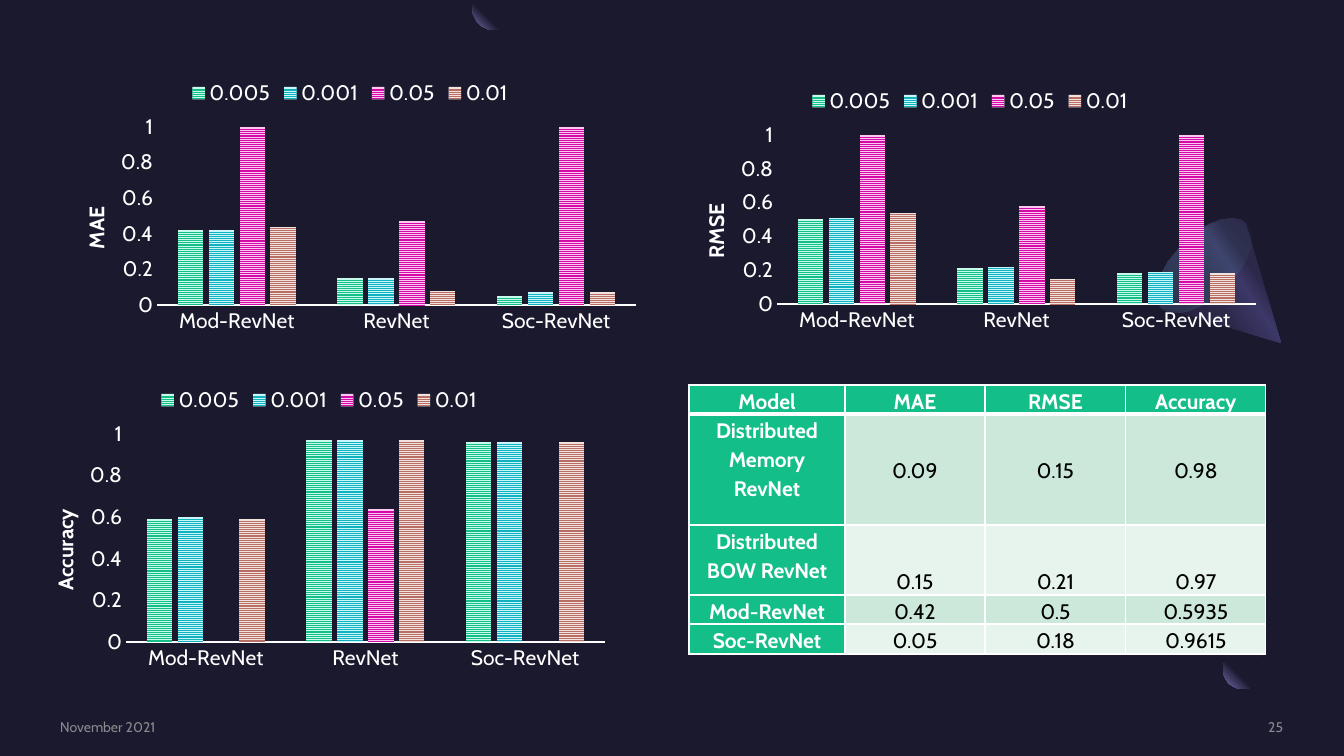
"""Build the slide comparing RevNet models by MAE, RMSE and accuracy."""
import math

from pptx import Presentation, util as u
from pptx.chart.data import CategoryChartData
from pptx.dml.color import RGBColor
from pptx.enum import chart as ch, dml, shapes, text
from pptx.oxml import parse_xml
from pptx.oxml.ns import nsdecls, qn

PX = 914400 / 100.8
FONT = "Cabin"
COLOURS = {
    "night": "1B192E", "lilac": "7771B2", "cone": "2C284A", "cone_light": "3C3867",
    "base": "454075", "mint": "5BEFC1", "grey": "A6A6A6", "white": "FFFFFF",
    "black": "000000", "green": "13BE89", "band": "CCE8DA", "band_light": "E7F4ED",
}
RATES = [("0.005", "13BE89", "C8FAEA"), ("0.001", "12B1BF", "C8F6FA"),
         ("0.05", "D40AA8", "FCC8F1"), ("0.01", "B86E62", "F1E2E0")]
MODELS = ["Mod-RevNet", "RevNet", "Soc-RevNet"]
METRICS = [
    {"title": "MAE", "box": (52, 69, 596, 271), "title_length": 42,
     "values": [(0.42, 0.15, 0.05), (0.42, 0.15, 0.07), (191, 0.47, 81619), (0.44, 0.08, 0.07)]},
    {"title": "RMSE", "box": (672, 77, 596, 262), "title_length": 55,
     "values": [(0.5, 0.21, 0.18), (0.51, 0.22, 0.19), (10825, 0.58, 128329), (0.54, 0.15, 0.18)]},
    {"title": "Accuracy", "box": (21, 376, 596, 301), "title_length": 82,
     "values": [(0.59, 0.97, 0.96), (0.6, 0.97, 0.96), (0, 0.64, 0), (0.59, 0.97, 0.96)]},
]
RESULTS = [
    ("Model", "MAE", "RMSE", "Accuracy"),
    ("Distributed Memory RevNet", "0.09", "0.15", "0.98"),
    ("Distributed BOW RevNet", "0.15", "0.21", "0.97"),
    ("Mod-RevNet", "0.42", "0.5", "0.5935"),
    ("Soc-RevNet", "0.05", "0.18", "0.9615"),
]
RESULTS_BOX = (689, 385, 577, 269)
COLUMN_WIDTHS = (156, 140, 141, 140)
ROW_HEIGHTS = (29, 111, 70, 29, 30)
FOOTERS = [("November 2021", (60, 718, 290, 17), "LEFT"), ("25", (1097, 718, 186, 17), "RIGHT")]
MOON_STOPS = [(60, "night", 100), (100, "lilac", 100)]
CONE_STOPS = [(30, "cone", 100), (40, "cone_light", 100), (60, "cone", 100), (100, "night", 100)]
BASE_STOPS = [(0, "base", 33), (100, "mint", 0)]


def emu(*lengths):
    return [u.Emu(round(length * PX)) for length in lengths]


def rgb(name):
    return RGBColor.from_string(COLOURS.get(name, name))


def write(frame, words, size=15, colour="white", bold=False, align="CENTER", spacing=None):
    paragraph = frame.paragraphs[0]
    paragraph.alignment = text.PP_ALIGN[align]
    paragraph.line_spacing = spacing
    run = paragraph.add_run()
    run.text = words
    style(run.font, size, colour, bold)


def style(font, size=15, colour="white", bold=False):
    font.name, font.size, font.bold = FONT, u.Pt(size), bold
    font.color.rgb = rgb(colour)


def fade(element, percent):
    for colour in element.iter(qn("a:srgbClr")):
        colour.append(parse_xml(f'<a:alpha {nsdecls("a")} val="{percent * 1000}"/>'))


def shade(shape, stops, angle=None):
    """Fill with a linear gradient, or a circular one from the top right without an angle."""
    shape.shadow.inherit = False
    shape.line.fill.background()
    shape.fill.background()
    marks = "".join(
        f'<a:gs pos="{at * 1000}"><a:srgbClr val="{COLOURS[name]}">'
        f'<a:alpha val="{alpha * 1000}"/></a:srgbClr></a:gs>' for at, name, alpha in stops)
    course = ('<a:path path="circle"><a:fillToRect l="100000" b="100000"/></a:path>'
              if angle is None else f'<a:lin ang="{angle * 60000}" scaled="0"/>')
    properties = shape.element.spPr
    properties.replace(properties.find(qn("a:noFill")), parse_xml(
        f'<a:gradFill {nsdecls("a")} rotWithShape="1"><a:gsLst>{marks}</a:gsLst>{course}</a:gradFill>'))


def arc(centre, radii, tilt, start, end, steps=40):
    turn = math.radians(tilt)
    points = []
    for step in range(steps + 1):
        angle = math.radians(start + (end - start) * step / steps)
        x, y = radii[0] * math.cos(angle), radii[1] * math.sin(angle)
        points.append((centre[0] + x * math.cos(turn) - y * math.sin(turn),
                       centre[1] + x * math.sin(turn) + y * math.cos(turn)))
    return points


def outline(slide, points):
    builder = slide.shapes.build_freeform(*points[0], scale=PX)
    builder.add_line_segments(points[1:], close=True)
    return builder.convert_to_shape()


def add_decor(slide):
    add = slide.shapes.add_shape
    shade(add(shapes.MSO_SHAPE.OVAL, *emu(1223, 650, 39, 39)), MOON_STOPS)
    veil = add(shapes.MSO_SHAPE.RECTANGLE, *emu(1262, 642, 41, 39))
    veil.shadow.inherit = False
    veil.line.fill.background()
    veil.fill.solid()
    veil.fill.fore_color.rgb = rgb("night")
    fade(veil.element.spPr, 80)
    shade(outline(slide, arc((1204, 265), (59, 30), -45, 0, -180) + [(1281, 343)]), CONE_STOPS, 145)
    base = add(shapes.MSO_SHAPE.OVAL, *emu(1174, 206, 60, 119))
    base.rotation = 225
    shade(base, BASE_STOPS, 90)
    shade(outline(slide, arc((493, 10), (20, 20), 0, -30, 210)), MOON_STOPS)


def add_footer(slide, words, box, align):
    footer = slide.shapes.add_textbox(*emu(*box))
    frame = footer.text_frame
    frame.margin_left = frame.margin_right = frame.margin_top = frame.margin_bottom = 0
    frame.word_wrap = True
    frame.vertical_anchor = text.MSO_ANCHOR.MIDDLE
    write(frame, words, size=10, colour="grey", align=align)
    fade(footer.element, 80)


def place(parent, index, target, **fractions):
    """Fix the position of a chart part within its chart."""
    for old in parent.findall(qn("c:layout")):
        parent.remove(old)
    inner = f'<c:layoutTarget val="{target}"/>' if target else ""
    modes = '<c:xMode val="edge"/><c:yMode val="edge"/>'
    sizes = "".join(f'<c:{key} val="{value:.4f}"/>' for key, value in fractions.items())
    parent.insert(index, parse_xml(
        f'<c:layout {nsdecls("c")}><c:manualLayout>{inner}{modes}{sizes}</c:manualLayout></c:layout>'))


def add_metric(slide, title, box, title_length, values):
    data = CategoryChartData()
    data.categories = MODELS
    for (rate, _, _), row in zip(RATES, values):
        data.add_series(rate, row)
    chart = slide.shapes.add_chart(ch.XL_CHART_TYPE.COLUMN_CLUSTERED, *emu(*box), data).chart
    style(chart.font)
    chart.has_title = False
    chart.has_legend = True
    chart.legend.position = ch.XL_LEGEND_POSITION.TOP
    chart.legend.include_in_layout = False
    style(chart.legend.font)
    plot = chart.plots[0]
    plot.gap_width, plot.overlap, plot.vary_by_categories = 164, -22, False
    for series, (_, ink, paper) in zip(plot.series, RATES):
        fill = series.format.fill
        fill.patterned()
        fill.pattern = dml.MSO_PATTERN.NARROW_HORIZONTAL
        fill.fore_color.rgb, fill.back_color.rgb = rgb(ink), rgb(paper)
    scale = chart.value_axis
    for axis in (chart.category_axis, scale):
        axis.major_tick_mark = axis.minor_tick_mark = ch.XL_TICK_MARK.NONE
        axis.has_major_gridlines = False
        style(axis.tick_labels.font)
    models_line = chart.category_axis.format.line
    models_line.color.rgb, models_line.width = rgb("white"), u.Pt(1.5)
    scale.format.line.fill.background()
    scale.minimum_scale, scale.maximum_scale, scale.major_unit = 0, 1, 0.2
    write(scale.axis_title.text_frame, title, bold=True)
    heading = scale.axis_title.element if hasattr(scale.axis_title, "element") else scale.axis_title._element
    body = next(heading.iter(qn("a:bodyPr")))
    body.set("rot", "-5400000")
    body.set("vert", "horz")
    width, height = box[2:]
    top, depth = 58, height - 93
    place(heading, 1, None, x=26 / width, y=(top + depth / 2 + 8 - title_length / 2) / height)
    place(next(chart.element.iter(qn("c:plotArea"))) if hasattr(chart, "element")
          else chart._chartSpace.chart.plotArea, 0, "inner",
          x=105 / width, y=top / height, w=479 / width, h=depth / height)


def add_results(slide):
    table = slide.shapes.add_table(len(RESULTS), len(RESULTS[0]), *emu(*RESULTS_BOX)).table
    for column, width in zip(table.columns, emu(*COLUMN_WIDTHS)):
        column.width = width
    for r, (row, height) in enumerate(zip(RESULTS, emu(*ROW_HEIGHTS))):
        table.rows[r].height = height
        for c, words in enumerate(row):
            cell = table.cell(r, c)
            heading = r == 0 or c == 0
            cell.margin_left = cell.margin_right = emu(7)[0]
            cell.margin_top = cell.margin_bottom = 0
            anchor = "TOP" if heading else "MIDDLE" if r == 1 else "BOTTOM"
            cell.vertical_anchor = text.MSO_ANCHOR[anchor]
            write(cell.text_frame, words, colour="white" if heading else "black",
                  bold=heading, spacing=1.15)
            for side in "LRTB":
                weight = 3 if (r, side) in ((0, "B"), (1, "T")) else 1
                cell._tc.get_or_add_tcPr().append(parse_xml(
                    f'<a:ln{side} {nsdecls("a")} w="{weight * 12700}"><a:solidFill>'
                    f'<a:srgbClr val="{COLOURS["white"]}"/></a:solidFill></a:ln{side}>'))
            cell.fill.solid()
            cell.fill.fore_color.rgb = rgb("green" if heading else "band" if r % 2 else "band_light")


def main():
    deck = Presentation()
    deck.slide_width, deck.slide_height = emu(1344, 756)
    slide = deck.slides.add_slide(deck.slide_layouts[6])
    slide.background.fill.solid()
    slide.background.fill.fore_color.rgb = rgb("night")
    add_decor(slide)
    for footer in FOOTERS:
        add_footer(slide, *footer)
    for metric in METRICS:
        add_metric(slide, **metric)
    add_results(slide)
    deck.save("out.pptx")


if __name__ == "__main__":
    main()
